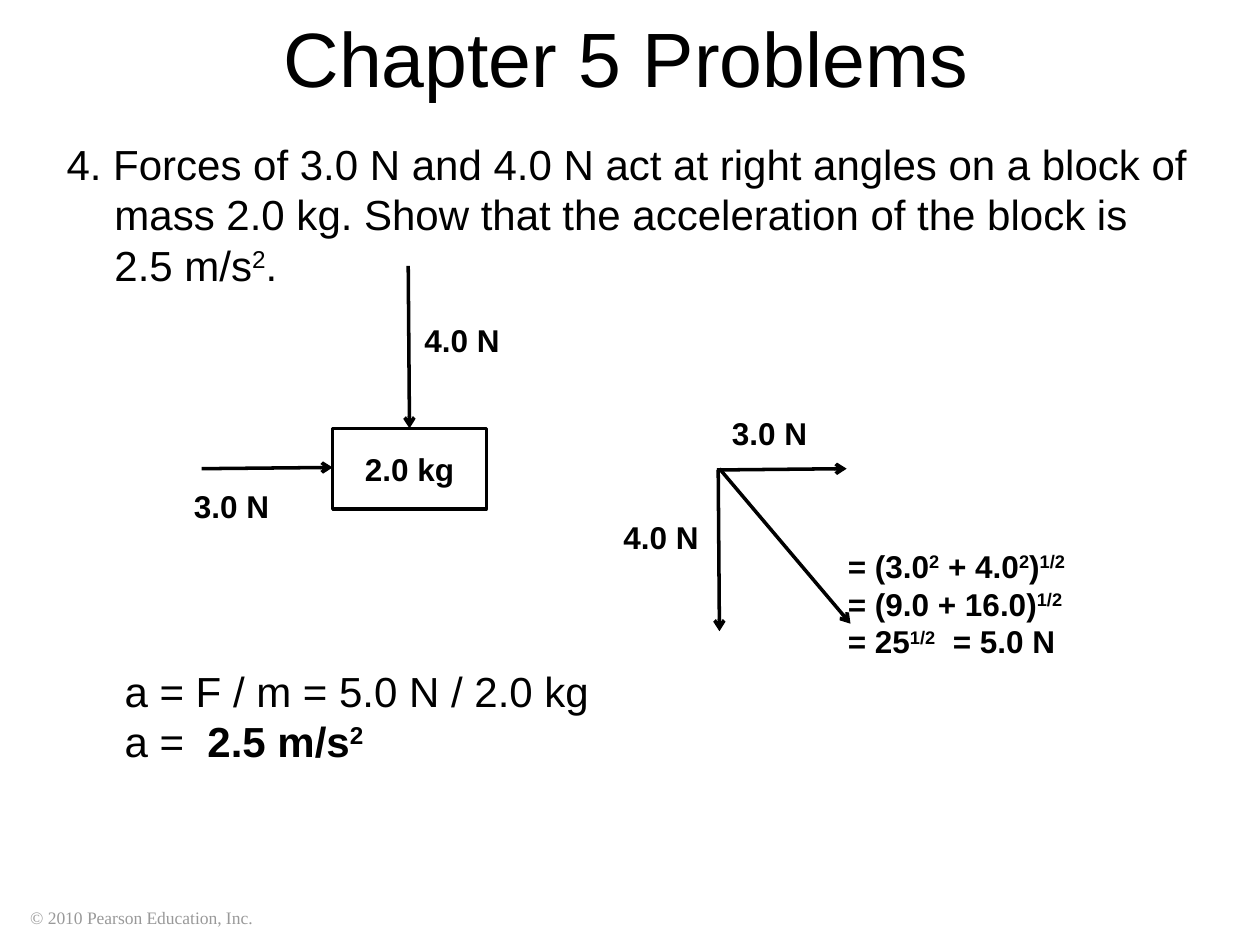
import pptx
import pptx.util
import pptx.dml.color
import pptx.enum.shapes
import pptx.enum.text
import pptx.oxml.ns
import lxml.etree

Inches = pptx.util.Inches
Align = pptx.enum.text.PP_ALIGN
Anchor = pptx.enum.text.MSO_ANCHOR
Fit = pptx.enum.text.MSO_AUTO_SIZE
HUES = {"ink": "000000", "paper": "FFFFFF", "grey": "999999"}


def hue(name):
    return pptx.dml.color.RGBColor.from_string(HUES[name])


class Page:
    fonts = {
        "title": {"name": "Arial", "size": 44, "bold": False, "color": "ink"},
        "body": {"name": "Arial", "size": 24, "bold": False, "color": "ink"},
        "label": {"name": "Arial", "size": 18, "bold": True, "color": "ink"},
        "foot": {"name": "Times New Roman", "size": 10, "bold": False, "color": "grey"},
    }

    def __init__(self, deck):
        self.slide = deck.slides.add_slide(deck.slide_layouts[6])

    def style(self, font, look, **more):
        form = {**self.fonts[look], **more}
        font.color.rgb = hue(form.pop("color"))
        form["size"] = pptx.util.Pt(form["size"])
        for key, value in form.items():
            setattr(font, key, value)

    def fill(self, frame, lines, look, **form):
        for key, value in form.items():
            setattr(frame, key, value)
        for row, line in enumerate(lines):
            para = frame.add_paragraph() if row else frame.paragraphs[0]
            for part, chunk in enumerate(line.split("*")):
                self.runs(para, chunk, look, {"bold": True} if part % 2 else {})

    def runs(self, para, chunk, look, more):
        for part, piece in enumerate(chunk.split("^")):
            for row, words in enumerate(piece.split("\n")):
                if row:
                    para.add_line_break()
                if words:
                    run = para.add_run()
                    run.text = words
                    self.style(run.font, look, **more)
                    if part % 2:
                        run._r.get_or_add_rPr().set("baseline", "30000")

    def text(self, place, lines, look, **form):
        box = self.slide.shapes.add_textbox(*map(Inches, place))
        self.fill(box.text_frame, lines, look, **form)
        return box.text_frame

    def label(self, left, top, lines, width=0.8, height=0.4):
        self.text((left, top, width, height), lines, "label",
                  word_wrap=False, auto_size=Fit.SHAPE_TO_FIT_TEXT)

    def stroke(self, line):
        line.color.rgb = hue("ink")
        line.width = pptx.util.Pt(2)

    def block(self, place, words):
        kind = pptx.enum.shapes.MSO_SHAPE.RECTANGLE
        box = self.slide.shapes.add_shape(kind, *map(Inches, place))
        box.shadow.inherit = False
        box.fill.solid()
        box.fill.fore_color.rgb = hue("paper")
        self.stroke(box.line)
        self.fill(box.text_frame, [words], "label", vertical_anchor=Anchor.MIDDLE)
        box.text_frame.paragraphs[0].alignment = Align.CENTER

    def arrow(self, *ends):
        kind = pptx.enum.shapes.MSO_CONNECTOR.STRAIGHT
        link = self.slide.shapes.add_connector(kind, *map(Inches, ends))
        self.stroke(link.line)
        qn = pptx.oxml.ns.qn
        tip = lxml.etree.SubElement(link.line._get_or_add_ln(), qn("a:tailEnd"))
        tip.set("type", "arrow")
        lxml.etree.SubElement(link._element.spPr, qn("a:effectLst"))


def main():
    deck = pptx.Presentation()
    deck.slide_width, deck.slide_height = Inches(10), Inches(7.5)
    page = Page(deck)

    page.text((0.24, 7.2, 1.77, 0.17), ["© 2010 Pearson Education, Inc."], "foot",
              word_wrap=False, margin_left=0, margin_right=0,
              margin_top=0, margin_bottom=0)
    title = page.text((0.47, 0, 9, 0.9), ["Chapter 5 Problems"], "title",
                      word_wrap=True, vertical_anchor=Anchor.MIDDLE)
    title.paragraphs[0].alignment = Align.CENTER

    task = page.text((0.43, 1.05, 9.35, 5.97), [
        "4. Forces of 3.0 N and 4.0 N act at right angles on a block of mass 2.0 kg. "
        "Show that the acceleration of the block is\n2.5 m/s^2^."],
        "body", word_wrap=True)
    props = task.paragraphs[0]._p.get_or_add_pPr()
    for key, value in {"marL": 0.38, "indent": -0.38}.items():
        props.set(key, str(int(Inches(value))))

    page.block((2.64, 3.4, 1.22, 0.64), "2.0 kg")
    for ends in [(1.6, 3.72, 2.64, 3.71), (3.24, 2.11, 3.25, 3.4),
                 (5.69, 3.73, 6.72, 3.72), (5.7, 3.73, 5.71, 5.01),
                 (5.71, 3.72, 6.75, 4.95)]:
        page.arrow(*ends)
    for left, top, force in [(3.27, 2.5, "4.0 N"), (1.44, 3.82, "3.0 N"),
                             (4.85, 4.06, "4.0 N"), (5.71, 3.24, "3.0 N")]:
        page.label(left, top, [force])

    page.label(6.63, 4.29, ["= (3.0^2^ + 4.0^2^)^1/2^", "= (9.0 + 16.0)^1/2^",
                            "= 25^1/2^  = 5.0 N"], 1.99, 1)
    page.text((0.89, 5.23, 4.22, 0.9),
              ["a = F / m = 5.0 N / 2.0 kg", "a =  *2.5 m/s^2^*"], "body",
              word_wrap=True, auto_size=Fit.SHAPE_TO_FIT_TEXT)
    deck.save("out.pptx")


if __name__ == "__main__":
    main()
